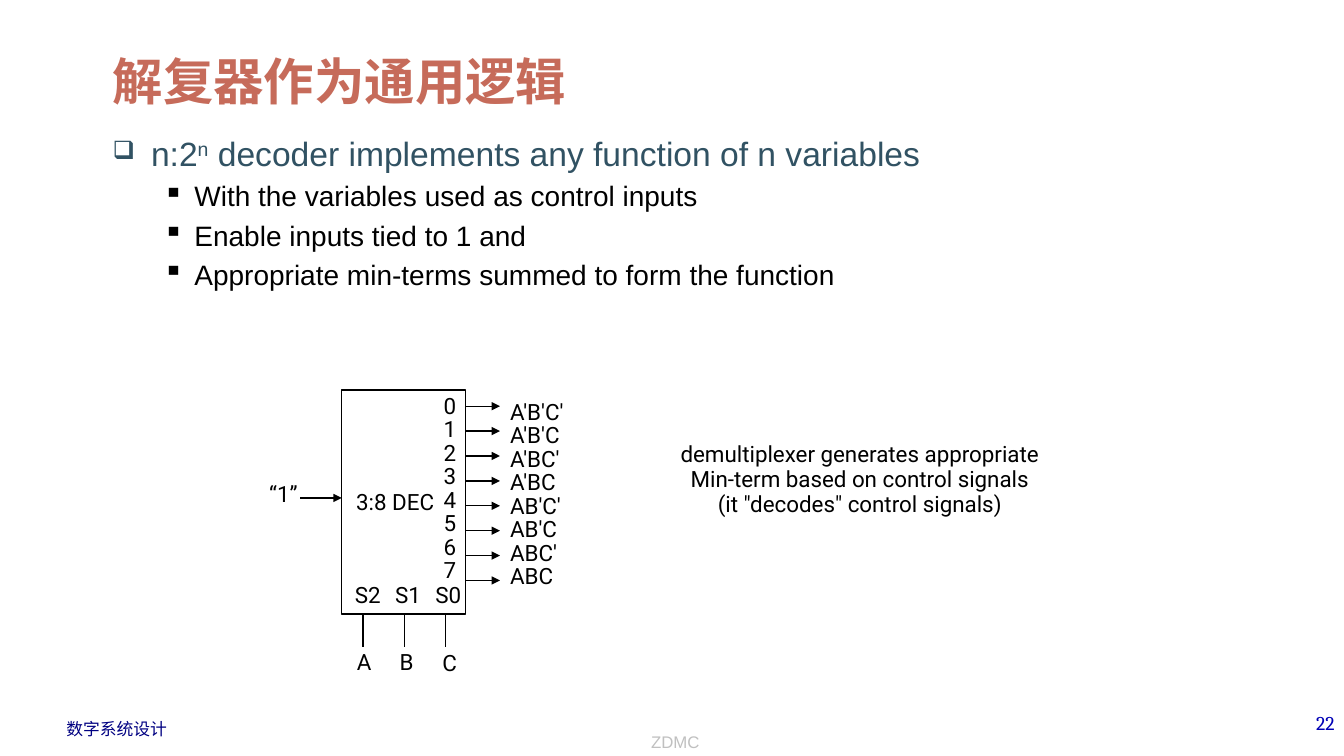
from lxml.etree import SubElement
from pptx import Presentation
from pptx.dml.color import RGBColor
from pptx.enum.shapes import MSO_CONNECTOR, MSO_SHAPE
from pptx.enum.text import MSO_ANCHOR, PP_ALIGN
from pptx.oxml.ns import qn
from pptx.util import Inches, Pt

# Grid: square cells of a tenth of an inch
COLS, ROWS = 133.33, 75
COLORS = {"title": "C66B5A", "lead": "315263", "ink": "000000",
          "course": "000082", "page": "0000B6", "foot": "C0C0C0"}
WIDE, TIGHT = (1, 0.5), (0.2, 0.3)
LEFT, MID, RIGHT = PP_ALIGN.LEFT, PP_ALIGN.CENTER, PP_ALIGN.RIGHT


def cell(n):
    return Inches(n / 10)


def tint(name):
    return RGBColor.from_string(COLORS[name])


def style(run, font, size, color, bold=False):
    run.font.name, run.font.size, run.font.bold = font, Pt(size), bold
    run.font.color.rgb = tint(color)
    SubElement(run.font._element, qn("a:ea")).set("typeface", font)


def frame(shapes, area, pad=WIDE, anchor=MSO_ANCHOR.TOP):
    box = shapes.add_textbox(*map(cell, area)).text_frame
    box.word_wrap = True
    box.vertical_anchor = anchor
    box.margin_left = box.margin_right = cell(pad[0])
    box.margin_top = box.margin_bottom = cell(pad[1])
    return box


def text(shapes, words, area, font, size, color, align=LEFT, bold=False,
         pad=WIDE, anchor=MSO_ANCHOR.TOP, pitch=None):
    box = frame(shapes, area, pad, anchor)
    box.text = words
    for para in box.paragraphs:
        para.alignment = align
        if pitch:
            para.line_spacing = Pt(pitch)
        for run in para.runs:
            style(run, font, size, color, bold)


def label(shapes, words, area, align=LEFT, pitch=16.8):
    text(shapes, words, area, "Roboto", 16, "ink", align, pad=TIGHT, pitch=pitch)


def wire(shapes, x1, y1, x2, y2, arrow=False):
    line = shapes.add_connector(MSO_CONNECTOR.STRAIGHT,
                                *map(cell, (x1, y1, x2, y2)))
    line.line.color.rgb = tint("ink")
    line.line.width = Pt(1)
    if arrow:
        SubElement(line.line._get_or_add_ln(), qn("a:tailEnd")).set("type", "triangle")
    SubElement(line._element.spPr, qn("a:effectLst"))


def bullet(para, mark, color, left, hang, share=100):
    props = para._p.get_or_add_pPr()
    props.set("marL", str(cell(left)))
    props.set("indent", str(-cell(hang)))
    before = SubElement(props, qn("a:spcBef"))
    SubElement(before, qn("a:spcPct")).set("val", "20000")
    shade = SubElement(props, qn("a:buClr"))
    SubElement(shade, qn("a:srgbClr")).set("val", COLORS[color])
    SubElement(props, qn("a:buSzPct")).set("val", str(share * 1000))
    SubElement(props, qn("a:buChar")).set("char", mark)


def points(shapes):
    box = frame(shapes, (10.2, 12.7, 113.3, 53.6))
    lead = box.paragraphs[0]
    for part, base in (("n:2", 0), ("n", 30000),
                       (" decoder implements any function of n variables", 0)):
        run = lead.add_run()
        run.text = part
        style(run, "Arial", 24, "lead")
        if base:
            run.font._element.set("baseline", str(base))
    bullet(lead, "❑", "lead", 3.8, 3.8, 75)
    for line in ("With the variables used as control inputs",
                 "Enable inputs tied to 1 and",
                 "Appropriate min-terms summed to form the function"):
        para = box.add_paragraph()
        para.text = line
        para.level = 1
        style(para.runs[0], "Arial", 20, "ink")
        bullet(para, "▪", "ink", 8.1, 3.1)


def decoder(shapes):
    left, top, wide, high = 33.9, 38.7, 12.3, 22.2
    right, base = left + wide, top + high
    # Block
    block = shapes.add_shape(MSO_SHAPE.RECTANGLE, *map(cell, (left, top, wide, high)))
    block.shadow.inherit = False
    block.fill.background()
    block.line.color.rgb = tint("ink")
    block.line.width = Pt(1)
    label(shapes, "3:8 DEC", (33.1, 48.5, 12.2, 6.4), MID)
    # Enable input
    label(shapes, "“1”", (26.5, 47.7, 5.8, 6.5))
    wire(shapes, 29.8, 49.4, left, 49.4, True)
    # Outputs
    label(shapes, "\n".join(str(i) for i in range(8)), (43.8, 38.9, 1.8, 22.8))
    terms = ["".join(var + ("" if i >> bit & 1 else "'")
                     for var, bit in zip("ABC", (2, 1, 0))) for i in range(8)]
    label(shapes, "\n".join(terms), (50.4, 39.5, 6.4, 21.6))
    for i in range(8):
        y = 40.3 + 2.47 * i
        wire(shapes, right, y, 49.6, y, True)
    # Select inputs
    for i, (var, drop) in enumerate(zip("ABC", (0, 0, 0.1))):
        x = 36 + 4.1 * i
        label(shapes, f"S{2 - i}", (35 + 4 * i, 57.7, 7, 6.4))
        label(shapes, var, (35.2 + 4.25 * i, 64.3 + drop, 6, 3))
        wire(shapes, x, base, x, 64.2)


def main():
    deck = Presentation()
    deck.slide_width, deck.slide_height = cell(COLS), cell(ROWS)
    shapes = deck.slides.add_slide(deck.slide_layouts[6]).shapes
    low = MSO_ANCHOR.BOTTOM
    # Footer
    text(shapes, "数字系统设计", (5.6, 70.8, 14, 3), "Arial", 12, "course")
    text(shapes, "22", (105.6, 70, 27.8, 5), "Cambria", 14, "page", RIGHT)
    text(shapes, "ZDMC", (34.5, 70, 65, 5.1), "Arial", 12, "foot", MID, anchor=low)
    # Title and points
    text(shapes, "解复器作为通用逻辑", (10.2, 2.3, 104.4, 9.2),
         "Noto Sans CJK SC", 36, "title", bold=True, anchor=low)
    points(shapes)
    # Diagram and its caption
    decoder(shapes.add_group_shape().shapes)
    label(shapes, "demultiplexer generates appropriate\n"
          "Min-term based on control signals\n"
          "(it \"decodes\" control signals)", (63.5, 43.6, 43.6, 9.1), MID, 17.8)
    deck.save("out.pptx")


if __name__ == "__main__":
    main()
